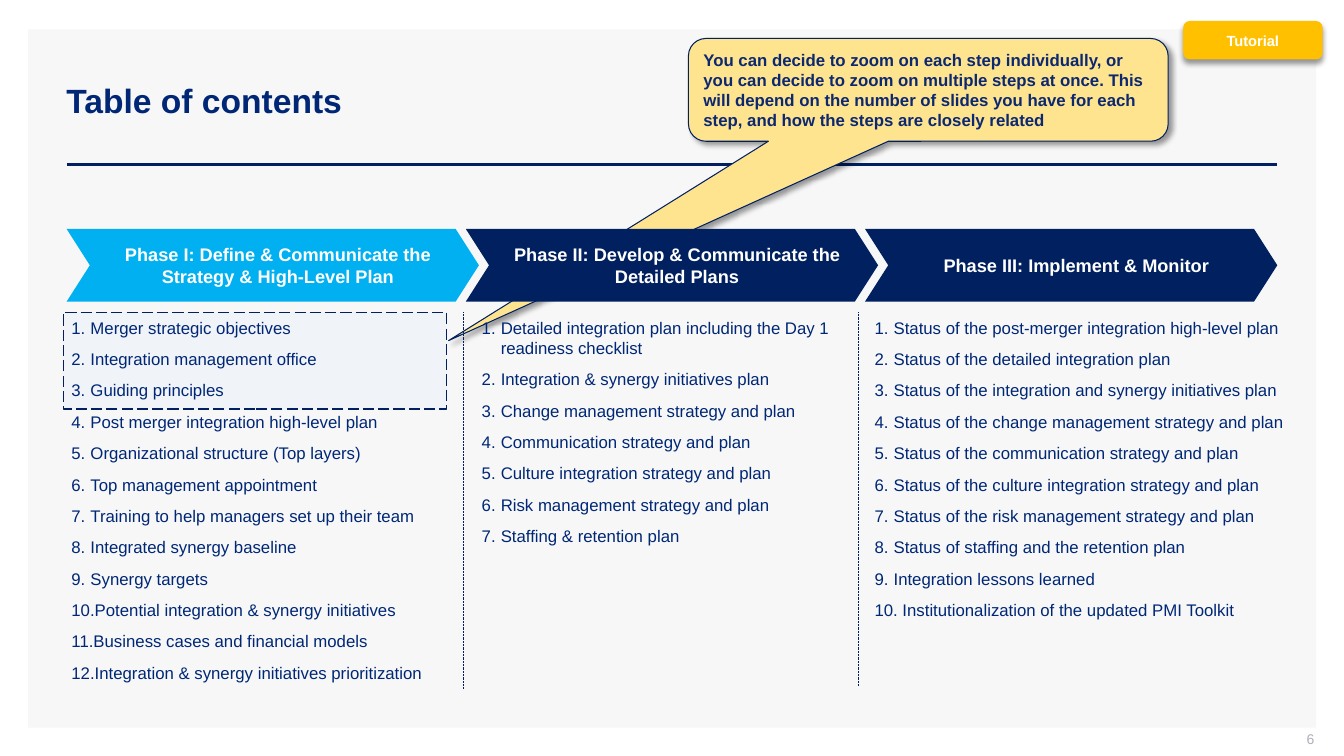
from dataclasses import dataclass

from lxml.etree import SubElement
from pptx import Presentation
from pptx.dml.color import RGBColor
from pptx.enum.dml import MSO_LINE
from pptx.enum.shapes import MSO_CONNECTOR, MSO_SHAPE
from pptx.enum.text import MSO_ANCHOR, MSO_AUTO_SIZE, PP_ALIGN
from pptx.oxml.ns import qn
from pptx.util import Cm, Pt


@dataclass(frozen=True)
class Theme:
    font: str = "Arial"
    panel: str = "F7F7F7"
    navy: str = "002060"
    text: str = "002776"
    note_text: str = "0C2870"
    note_fill: str = "FFE48F"
    active: str = "00B0F0"
    focus: str = "D6E3FF"
    badge: str = "FFC000"
    white: str = "FFFFFF"
    muted: str = "ADAFBB"
    shadow: str = "000000"
    title_size: float = 24
    phase_size: float = 13
    body_size: float = 12
    badge_size: float = 10.5
    number_size: float = 10


PHASES = [
    ("Phase I: Define & Communicate the Strategy & High-Level Plan", [
        "Merger strategic objectives",
        "Integration management office",
        "Guiding principles",
        "Post merger integration high-level plan",
        "Organizational structure (Top layers)",
        "Top management appointment",
        "Training to help managers set up their team",
        "Integrated synergy baseline",
        "Synergy targets",
        "Potential integration & synergy initiatives",
        "Business cases and financial models",
        "Integration & synergy initiatives prioritization",
    ]),
    ("Phase II: Develop & Communicate the Detailed Plans", [
        "Detailed integration plan including the Day 1 readiness checklist",
        "Integration & synergy initiatives plan",
        "Change management strategy and plan",
        "Communication strategy and plan",
        "Culture integration strategy and plan",
        "Risk management strategy and plan",
        "Staffing & retention plan",
    ]),
    ("Phase III: Implement & Monitor", [
        "Status of the post-merger integration high-level plan",
        "Status of the detailed integration plan",
        "Status of the integration and synergy initiatives plan",
        "Status of the change management strategy and plan",
        "Status of the communication strategy and plan",
        "Status of the culture integration strategy and plan",
        "Status of the risk management strategy and plan",
        "Status of staffing and the retention plan",
        "Integration lessons learned",
        " Institutionalization of the updated PMI Toolkit",
    ]),
]
NOTE = ("You can decide to zoom on each step individually, or you can decide to zoom "
        "on multiple steps at once. This will depend on the number of slides you have "
        "for each step, and how the steps are closely related")
LEFT, RIGHT = 1.68, 32.18
LIST_TOP = 7.87
PHASE_STEP = 10.06
# left, width, height and left inset of each list
LIST_BOXES = [(1.8, 9.88, 9.55, 0), (11.89, 9.6, 6.07, 0.25), (21.79, 10.97, 7.95, 0.25)]


class SlideBuilder:
    def __init__(self, slide, theme):
        self.slide = slide
        self.theme = theme

    def style(self, frame, size, color, bold=False, align=PP_ALIGN.LEFT,
              anchor=MSO_ANCHOR.MIDDLE):
        frame.word_wrap = True
        frame.vertical_anchor = anchor
        for paragraph in frame.paragraphs:
            paragraph.alignment = align
            for run in paragraph.runs:
                run.font.name = self.theme.font
                run.font.size = Pt(size)
                run.font.bold = bold
                run.font.color.rgb = RGBColor.from_string(color)

    def shape(self, kind, box, fill, line=None, width=1.0, adjustments=()):
        shape = self.slide.shapes.add_shape(kind, *map(Cm, box))
        shape.shadow.inherit = False
        shape.fill.solid()
        shape.fill.fore_color.rgb = RGBColor.from_string(fill)
        if line:
            shape.line.color.rgb = RGBColor.from_string(line)
            shape.line.width = Pt(width)
        else:
            shape.line.fill.background()
        for index, value in enumerate(adjustments):
            shape.adjustments[index] = value
        return shape

    def label(self, shape, text, size, color, align=PP_ALIGN.CENTER):
        shape.text_frame.text = text
        self.style(shape.text_frame, size, color, True, align)

    def drop_shadow(self, shape, degrees):
        effects = shape.element.spPr.find(qn("a:effectLst"))
        shadow = SubElement(effects, qn("a:outerShdw"), blurRad=str(Pt(4)), dist=str(Pt(3)),
                            dir=str(degrees * 60000), algn="tl", rotWithShape="0")
        color = SubElement(shadow, qn("a:srgbClr"), val=self.theme.shadow)
        SubElement(color, qn("a:alpha"), val="40000")

    def line(self, start, end, width, dash=None):
        line = self.slide.shapes.add_connector(MSO_CONNECTOR.STRAIGHT, *map(Cm, start + end))
        line.line.color.rgb = RGBColor.from_string(self.theme.navy)
        line.line.width = Pt(width)
        if dash:
            line.line.dash_style = dash
        SubElement(line.element.spPr, qn("a:effectLst"))

    def place(self, placeholder, box):
        """Position a placeholder and bring it to the front."""
        placeholder.left, placeholder.top, placeholder.width, placeholder.height = map(Cm, box)
        self.slide.shapes.element.append(placeholder.element)

    def title(self, text, box):
        title = self.slide.shapes.title
        self.place(title, box)
        title.text_frame.text = text
        self.style(title.text_frame, self.theme.title_size, self.theme.text, True)

    def numbered_list(self, placeholder, items, box, inset):
        self.place(placeholder, box)
        frame = placeholder.text_frame
        frame.text = "\n".join(items)
        frame.margin_left, frame.margin_right = Cm(inset), Cm(0.25)
        frame.margin_top = frame.margin_bottom = Cm(0.13)
        frame.auto_size = MSO_AUTO_SIZE.SHAPE_TO_FIT_TEXT
        for index, paragraph in enumerate(frame.paragraphs):
            paragraph.space_before = Pt(4 if index else 0)
            paragraph.space_after = Pt(4)
            properties = paragraph._p.get_or_add_pPr()
            properties.set("marL", str(Cm(0.48)))
            properties.set("indent", str(Cm(-0.48)))
            SubElement(properties, qn("a:buFont"), typeface=self.theme.font)
            SubElement(properties, qn("a:buAutoNum"), type="arabicPeriod")
        self.style(frame, self.theme.body_size, self.theme.text, anchor=MSO_ANCHOR.TOP)

    def page_number(self, text, box):
        frame = self.slide.shapes.add_textbox(*map(Cm, box)).text_frame
        frame.text = text
        frame.margin_top = frame.margin_right = 0
        self.style(frame, self.theme.number_size, self.theme.muted, align=PP_ALIGN.RIGHT)


def main():
    presentation = Presentation()
    presentation.slide_width, presentation.slide_height = Cm(33.87), Cm(19.05)
    comparison_layout = presentation.slide_layouts[4]
    slide = presentation.slides.add_slide(comparison_layout)
    theme = Theme()
    builder = SlideBuilder(slide, theme)
    title, *list_holders, spare = slide.placeholders
    spare.element.getparent().remove(spare.element)

    builder.shape(MSO_SHAPE.RECTANGLE, (0.71, 0.74, 32.46, 17.6), theme.panel)
    builder.line((LEFT, 4.14), (RIGHT, 4.14), 2)
    focus = builder.shape(MSO_SHAPE.RECTANGLE, (1.6, LIST_TOP, 9.65, 2.44), theme.focus, theme.navy)
    focus.line.dash_style = MSO_LINE.LONG_DASH
    focus_color = focus.element.spPr.find(qn("a:solidFill"))[0]
    SubElement(focus_color, qn("a:alpha"), val="20000")
    builder.title("Table of contents", (1.42, 1.02, 30.76, 3.02))
    builder.page_number("6", (25.5, 18.42, 7.62, 0.53))

    note = builder.shape(MSO_SHAPE.ROUNDED_RECTANGULAR_CALLOUT, (17.35, 0.97, 12.09, 2.59),
                         theme.note_fill, theme.navy, 0.75, (-1, 2.44, 0.17))
    builder.drop_shadow(note, 45)
    builder.label(note, NOTE, theme.body_size, theme.note_text, PP_ALIGN.LEFT)

    for index, (name, _) in enumerate(PHASES):
        phase = builder.shape(MSO_SHAPE.CHEVRON, (LEFT + index * PHASE_STEP, 5.77, 10.39, 1.83),
                              theme.navy if index else theme.active, adjustments=(0.32,))
        phase.text_frame.margin_right = 0
        builder.label(phase, name, theme.phase_size, theme.white)
    for (_, items), holder, (left, width, height, inset) in zip(PHASES, list_holders, LIST_BOXES):
        builder.numbered_list(holder, items, (left, LIST_TOP, width, height), inset)
    for x, bottom in ((11.68, 17.37), (21.64, 17.27)):
        builder.line((x, LIST_TOP), (x, bottom), 0.5, MSO_LINE.ROUND_DOT)

    badge = builder.shape(MSO_SHAPE.ROUNDED_RECTANGLE, (29.82, 0.53, 3.51, 0.97), theme.badge)
    builder.drop_shadow(badge, 90)
    builder.label(badge, "Tutorial", theme.badge_size, theme.white)
    presentation.save("out.pptx")


if __name__ == "__main__":
    main()
